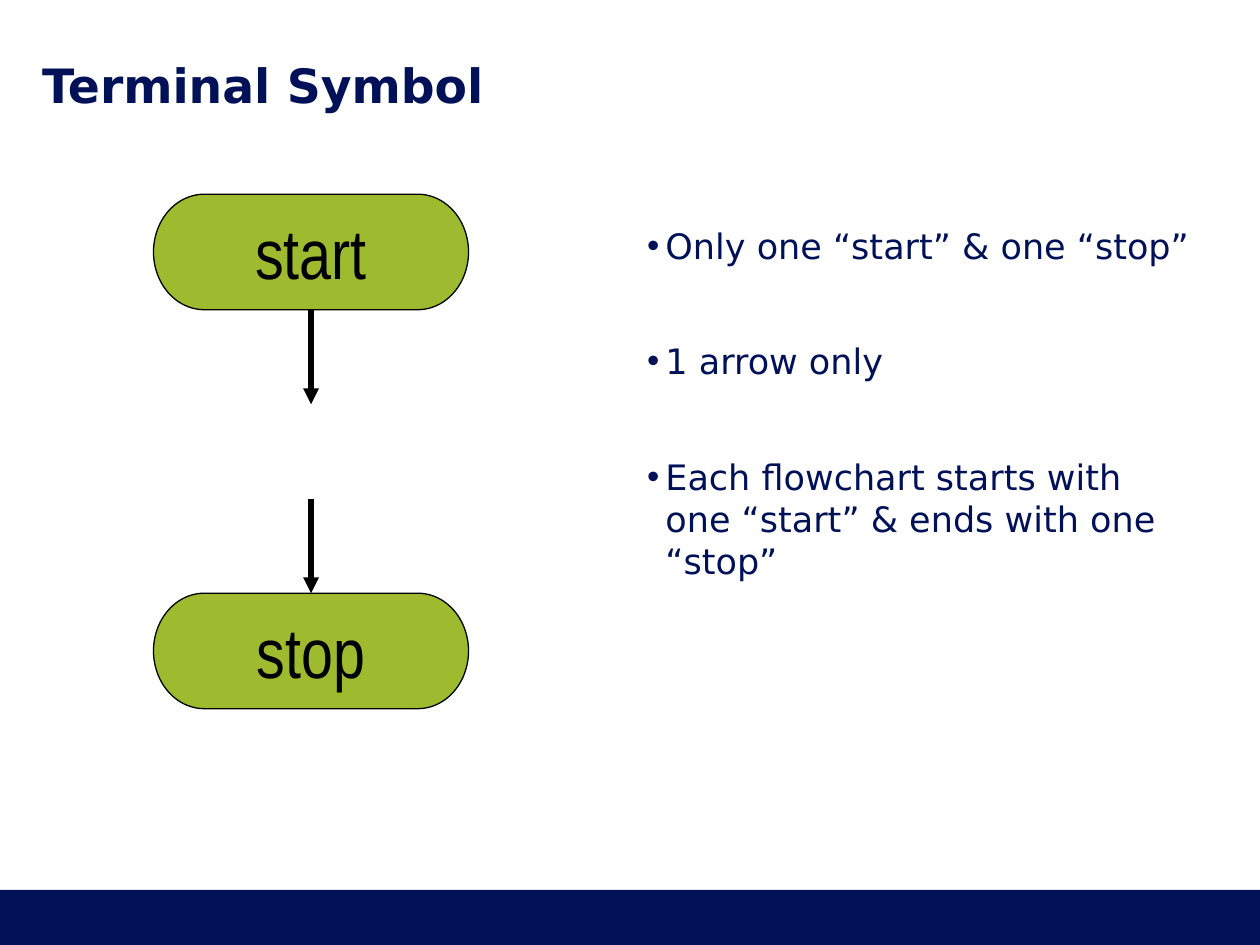
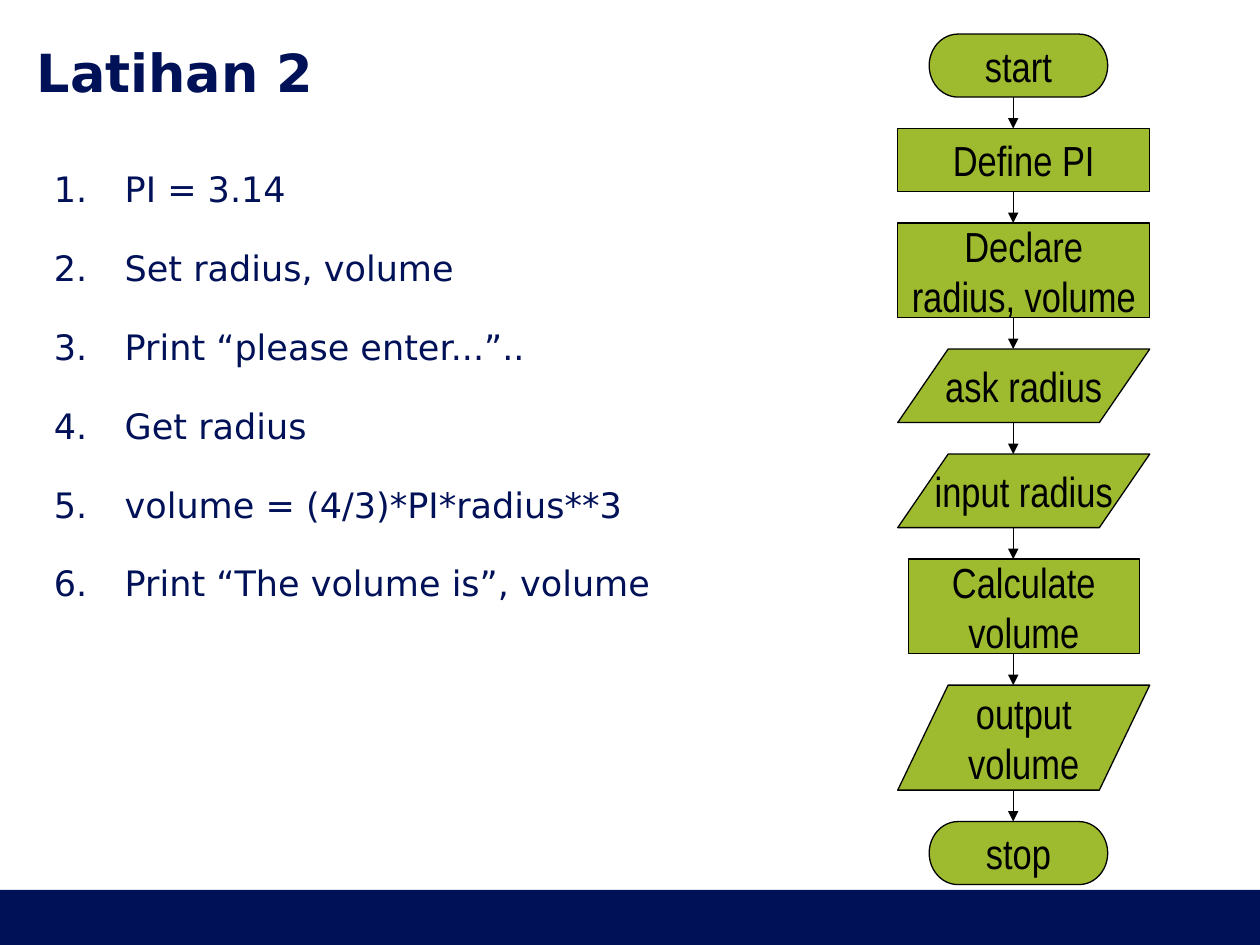
from lxml import etree
from pptx import Presentation, util as u
from pptx.dml.color import RGBColor
from pptx.enum import shapes, text
from pptx.oxml.ns import qn

NAVY = RGBColor(0x00, 0x11, 0x58)
GREEN = RGBColor(0x9E, 0xBA, 0x2E)
BLACK = RGBColor(0, 0, 0)
BODY_FONT, SYMBOL_FONT = "DejaVu Sans", "Arial Narrow"

PX = u.Inches(1) // 96
WIDTH, HEIGHT = 960, 720
BAND_TOP = 678

TERMINAL = shapes.MSO_SHAPE.FLOWCHART_TERMINATOR
PROCESS = shapes.MSO_SHAPE.FLOWCHART_PROCESS
DATA = shapes.MSO_SHAPE.FLOWCHART_DATA

RULES = [
    "Only one “start” & one “stop”",
    "1 arrow only",
    "Each flowchart starts with one “start” & ends with one “stop”",
]
STEPS = [
    "PI = 3.14",
    "Set radius, volume",
    "Print “please enter...”..",
    "Get radius",
    "volume = (4/3)*PI*radius**3",
    "Print “The volume is”, volume",
]
# label, symbol, left, width, height
FLOW = [
    ("start", TERMINAL, 708, 136, 48),
    ("Define PI", PROCESS, 684, 192, 48),
    ("Declare\nradius, volume", PROCESS, 684, 192, 72),
    ("ask radius", DATA, 684, 192, 56),
    ("input radius", DATA, 684, 192, 56),
    ("Calculate\nvolume", PROCESS, 692, 176, 72),
    ("output\nvolume", DATA, 684, 192, 80),
    ("stop", TERMINAL, 708, 136, 48),
]
FLOW_TOP, FLOW_GAP, FLOW_ARROW_X = 26, 24, 772

PILL_LEFT, PILL_WIDTH, PILL_HEIGHT = 117, 240, 88
START_TOP, STOP_TOP, ARROW_LENGTH = 148, 452, 72


def px(*lengths):
    return [n * PX for n in lengths]


def write(tf, lines, size, font=BODY_FONT, color=NAVY, bold=False,
          align=text.PP_ALIGN.LEFT, before=0, after=0, spacing=1.0):
    for i, line in enumerate(lines):
        p = tf.add_paragraph() if i else tf.paragraphs[0]
        p.alignment = align
        p.space_before, p.space_after = u.Pt(before), u.Pt(after)
        p.line_spacing = spacing
        r = p.add_run()
        r.text = line
        r.font.name, r.font.size, r.font.bold = font, u.Pt(size), bold
        r.font.color.rgb = color


def place(sp, box, anchor):
    """Move a placeholder and clear its insets and autofit."""
    sp.left, sp.top, sp.width, sp.height = px(*box)
    tf = sp.text_frame
    tf.margin_left = tf.margin_right = tf.margin_top = tf.margin_bottom = 0
    tf.vertical_anchor = anchor
    tf.auto_size = text.MSO_AUTO_SIZE.NONE
    tf.word_wrap = True
    return tf


def add_slide(prs, title, title_box, title_size):
    s = prs.slides.add_slide(prs.slide_layouts[1])
    tf = place(s.shapes.title, title_box, text.MSO_ANCHOR.MIDDLE)
    write(tf, [title], title_size, bold=True)
    return s


def fill_list(s, items, box, indent, marker, **fmt):
    """marker is the tag, attribute and value of the bullet element."""
    tf = place(s.placeholders[1], box, text.MSO_ANCHOR.TOP)
    write(tf, items, 20, before=4.5, **fmt)
    tag, attribute, value = marker
    for p in tf.paragraphs:
        pPr = p._p.get_or_add_pPr()
        pPr.set("marL", str(indent * PX))
        pPr.set("indent", str(-indent * PX))
        etree.SubElement(pPr, qn(tag)).set(attribute, value)


def add_symbol(s, label, kind, box, size):
    sp = s.shapes.add_shape(kind, *px(*box))
    sp.shadow.inherit = False
    sp.fill.solid()
    sp.fill.fore_color.rgb = GREEN
    sp.line.color.rgb = BLACK
    sp.line.width = u.Pt(0.75)
    tf = sp.text_frame
    tf.word_wrap = False
    tf.vertical_anchor = text.MSO_ANCHOR.MIDDLE
    write(tf, label.split("\n"), size, font=SYMBOL_FONT, color=BLACK,
          align=text.PP_ALIGN.CENTER)


def add_arrow(s, x, top, length, weight):
    line = s.shapes.add_connector(shapes.MSO_CONNECTOR.STRAIGHT,
                                  *px(x, top, x, top + length))
    line.line.color.rgb = BLACK
    line.line.width = u.Pt(weight)
    ln = line.line._get_or_add_ln()
    etree.SubElement(ln, qn("a:tailEnd")).set("type", "triangle")
    etree.SubElement(line.element.spPr, qn("a:effectLst"))


def add_master_band(prs, s):
    """Draw the footer band, then hand it to the master for all slides."""
    band = s.shapes.add_shape(shapes.MSO_SHAPE.RECTANGLE,
                              *px(0, BAND_TOP, WIDTH, HEIGHT - BAND_TOP))
    band.shadow.inherit = False
    band.fill.solid()
    band.fill.fore_color.rgb = NAVY
    band.line.fill.background()
    prs.slide_master.shapes.element.append(band.element)


def build_terminal_symbol(prs):
    s = add_slide(prs, "Terminal Symbol", (32, 42, 897, 45), 27)
    add_master_band(prs, s)
    fill_list(s, RULES, (493, 171, 418, 432), 14,
              ("a:buChar", "char", "•"), after=37.5)
    for label, top in (("start", START_TOP), ("stop", STOP_TOP)):
        add_symbol(s, label, TERMINAL,
                   (PILL_LEFT, top, PILL_WIDTH, PILL_HEIGHT), 40)
    for top in (START_TOP + PILL_HEIGHT, STOP_TOP - ARROW_LENGTH):
        add_arrow(s, PILL_LEFT + PILL_WIDTH // 2, top, ARROW_LENGTH, 3)


def build_exercise(prs):
    s = add_slide(prs, "Latihan 2", (28, 21, 828, 67), 30)
    fill_list(s, STEPS, (41, 112, 516, 475), 54,
              ("a:buAutoNum", "type", "arabicPeriod"), after=4.5, spacing=1.5)
    top = FLOW_TOP
    for i, (label, kind, left, width, height) in enumerate(FLOW):
        if i:
            add_arrow(s, FLOW_ARROW_X, top - FLOW_GAP, FLOW_GAP, 0.75)
        add_symbol(s, label, kind, (left, top, width, height), 24)
        top += height + FLOW_GAP


def main():
    prs = Presentation()
    prs.slide_width, prs.slide_height = px(WIDTH, HEIGHT)
    build_terminal_symbol(prs)
    build_exercise(prs)
    prs.save("out.pptx")


if __name__ == "__main__":
    main()
